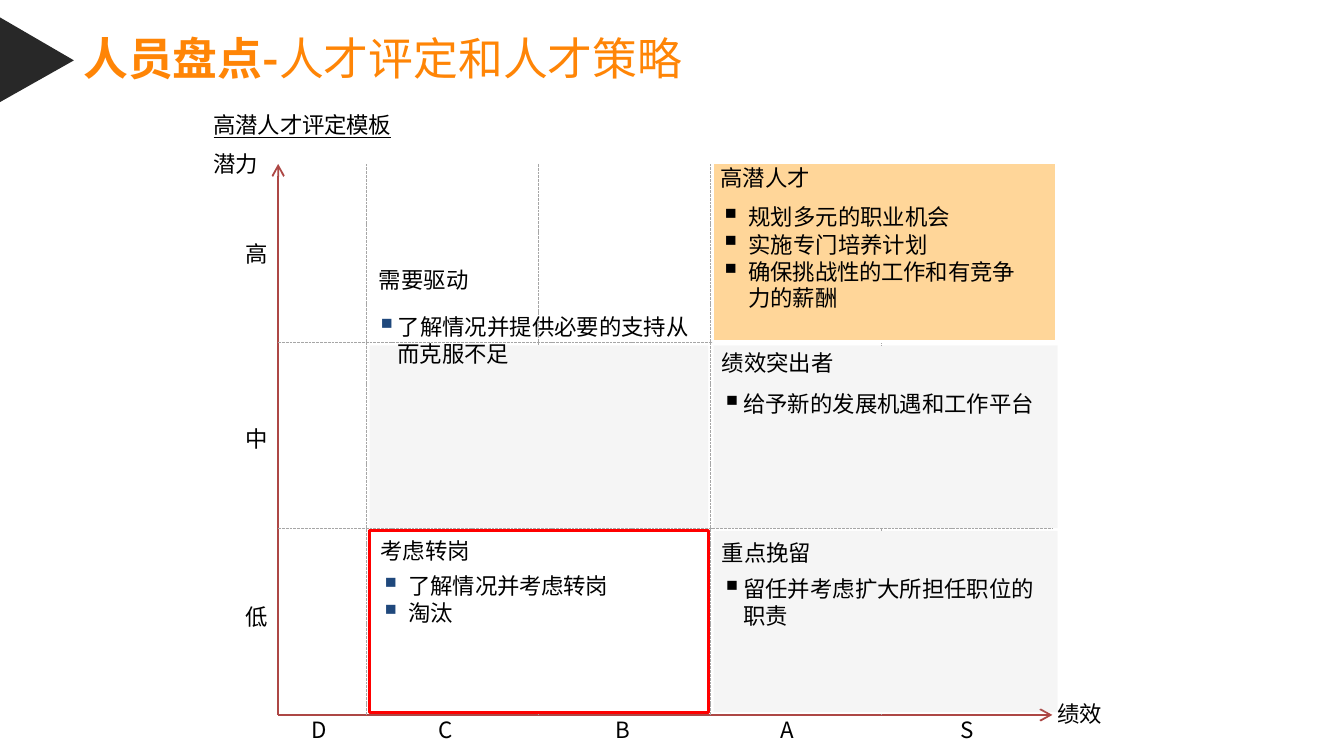
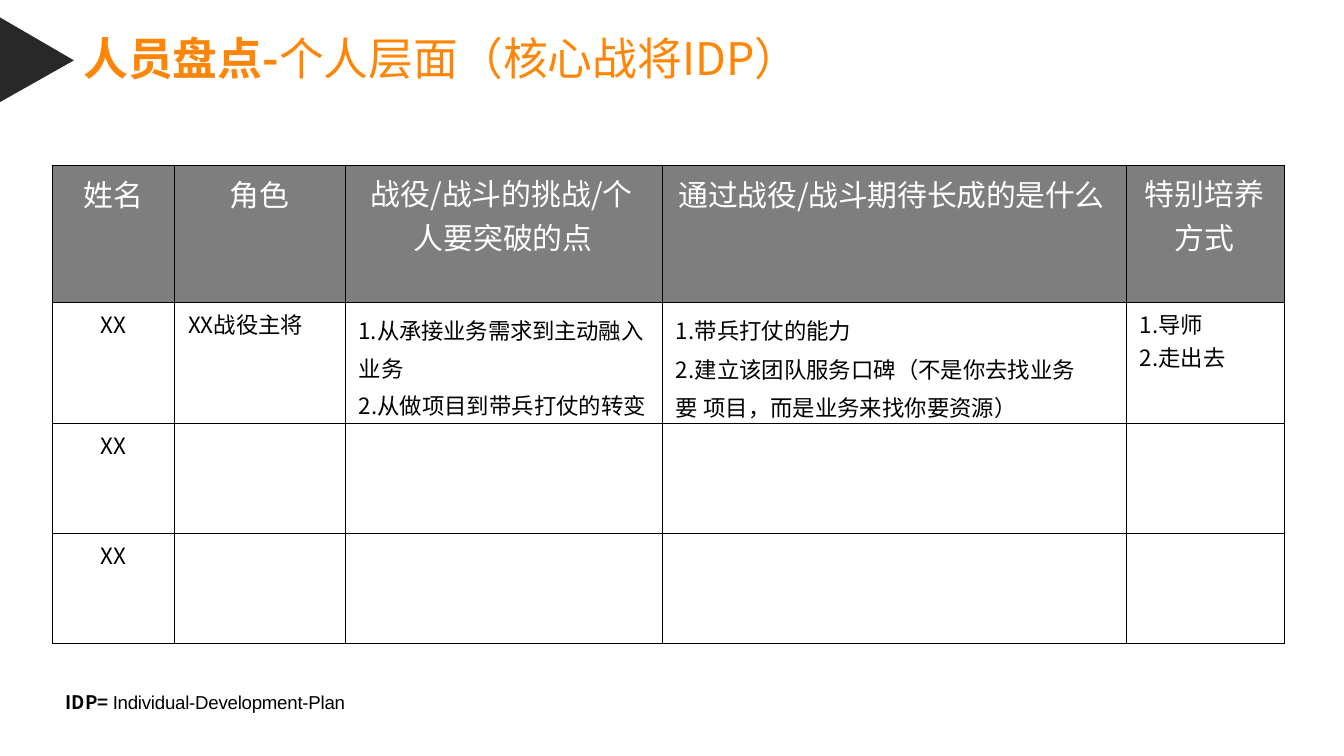
from lxml import etree
from pptx import Presentation
from pptx.dml.color import RGBColor
from pptx.enum.dml import MSO_LINE_DASH_STYLE as Dash
from pptx.enum.shapes import MSO_CONNECTOR as Connector, MSO_SHAPE as Shape
from pptx.enum.text import MSO_ANCHOR as Anchor, MSO_AUTO_SIZE as AutoSize, PP_ALIGN as Align
from pptx.oxml.ns import qn
from pptx.util import Inches, Pt

FONT = "Noto Sans CJK SC"
BLACK, WHITE, ORANGE, DARK = "000000", "FFFFFF", "FF8506", "282828"
AXIS, GRID, HEADER, BLUE = "AD4745", "A6A6A6", "7E7E7E", "1F487C"
BULLET = {"margin": 0.17, "indent": -0.16, "bullet": BLACK}
WIDE_BULLET = {"margin": 0.22, "indent": -0.21, "bullet": BLACK}


def rgb(value):
    return RGBColor.from_string(value)


def add_child(parent, tag, **attributes):
    child = etree.SubElement(parent, qn(tag))
    for name, value in attributes.items():
        child.set(name, str(value))
    return child


def write(paragraph, text, size=12, color=BLACK, bold=False, underline=False, font=FONT,
          align=Align.LEFT, margin=0.01, indent=0, right=0, before=0, line=None,
          bullet=None, tracking=0):
    """Add one run and format its paragraph."""
    paragraph.alignment = align
    paragraph.space_before = Pt(before)
    if line:
        paragraph.line_spacing = line
    properties = paragraph._p.get_or_add_pPr()
    for name, length in (("marL", margin), ("marR", right), ("indent", indent)):
        properties.set(name, str(Inches(length)))
    if bullet:
        add_child(add_child(properties, "a:buClr"), "a:srgbClr", val=bullet)
        add_child(properties, "a:buSzPct", val=125000)
        add_child(properties, "a:buChar", char="▪")
    run = paragraph.add_run()
    run.text = text
    run.font.size = Pt(size)
    run.font.bold = bold
    run.font.underline = underline
    run.font.color.rgb = rgb(color)
    run.font.name = font
    run_properties = run._r.get_or_add_rPr()
    add_child(run_properties, "a:ea", typeface=font)
    if tracking:
        run_properties.set("spc", str(round(tracking * 100)))


def write_all(frame, entries, **defaults):
    """Write each (text, format) entry as a paragraph."""
    for index, (text, style) in enumerate(entries):
        paragraph = frame.add_paragraph() if index else frame.paragraphs[0]
        write(paragraph, text, **{**defaults, **style})


class Deck:
    def __init__(self):
        self.presentation = Presentation()
        self.presentation.slide_width = Inches(10)
        self.presentation.slide_height = Inches(10) * 9 // 16
        self.slide = None

    def add_slide(self, topic, subtitle, title_width):
        self.slide = self.presentation.slides.add_slide(self.presentation.slide_layouts[5])
        title = self.slide.shapes.title
        title.left, title.top = Inches(0.61), Inches(0.23)
        title.width, title.height = Inches(title_width), Inches(0.42)
        self.prepare(title.text_frame)
        paragraph = title.text_frame.paragraphs[0]
        write(paragraph, topic, size=24, color=ORANGE, bold=True)
        write(paragraph, subtitle, size=24, color=ORANGE)
        self.marker()

    def prepare(self, frame):
        frame.margin_left = frame.margin_top = frame.margin_right = frame.margin_bottom = 0
        frame.word_wrap = True
        frame.vertical_anchor = Anchor.TOP
        frame.auto_size = AutoSize.SHAPE_TO_FIT_TEXT

    def marker(self):
        builder = self.slide.shapes.build_freeform(0, Inches(0.13))
        builder.add_line_segments([(0, Inches(0.76)), (Inches(0.55), Inches(0.45))])
        shape = builder.convert_to_shape()
        shape.shadow.inherit = False
        shape.fill.solid()
        shape.fill.fore_color.rgb = rgb(DARK)
        shape.line.fill.background()

    def text(self, left, top, width, height, *entries):
        box = self.slide.shapes.add_textbox(Inches(left), Inches(top), Inches(width), Inches(height))
        self.prepare(box.text_frame)
        write_all(box.text_frame, entries)
        return box.text_frame

    def line(self, x1, y1, x2, y2, color=GRID, width=0.5, arrow=False):
        connector = self.slide.shapes.add_connector(
            Connector.STRAIGHT, Inches(x1), Inches(y1), Inches(x2), Inches(y2))
        connector.line.color.rgb = rgb(color)
        connector.line.width = Pt(width)
        if arrow:
            add_child(connector.line._get_or_add_ln(), "a:tailEnd", type="arrow", w="med", len="med")
        else:
            connector.line.dash_style = Dash.SQUARE_DOT
        add_child(connector._element.spPr, "a:effectLst")

    def panel(self, left, top, width, height, fill, opacity, outline=None):
        shape = self.slide.shapes.add_shape(
            Shape.RECTANGLE, Inches(left), Inches(top), Inches(width), Inches(height))
        shape.shadow.inherit = False
        shape.fill.solid()
        shape.fill.fore_color.rgb = rgb(fill)
        color = shape._element.spPr.find(qn("a:solidFill"))[0]
        add_child(color, "a:alpha", val=opacity * 1000)
        if outline:
            shape.line.color.rgb = rgb(outline)
            shape.line.width = Pt(1.5)
        else:
            shape.line.fill.background()

    def table(self, left, top, columns, rows, contents):
        table = self.slide.shapes.add_table(
            len(rows), len(columns), Inches(left), Inches(top),
            Inches(sum(columns)), Inches(sum(rows))).table
        table.first_row = table.horz_banding = False
        for column, width in zip(table.columns, columns):
            column.width = Inches(width)
        for row_index, height in enumerate(rows):
            table.rows[row_index].height = Inches(height)
            for column_index in range(len(columns)):
                self.cell(table.cell(row_index, column_index),
                          contents.get((row_index, column_index)), row_index == 0)

    def cell(self, cell, content, is_header):
        properties = cell._tc.get_or_add_tcPr()
        for side in ("a:lnL", "a:lnR", "a:lnT", "a:lnB"):
            border = add_child(properties, side, w=Pt(0.75))
            add_child(add_child(border, "a:solidFill"), "a:srgbClr", val=BLACK)
        if is_header:
            cell.fill.solid()
            cell.fill.fore_color.rgb = rgb(HEADER)
        else:
            cell.fill.background()
        if content:
            top_margin, entries = content
            cell.margin_left = cell.margin_right = cell.margin_bottom = 0
            cell.margin_top = Inches(top_margin)
            style = {"size": 16, "color": WHITE} if is_header else {"margin": 0.1}
            write_all(cell.text_frame, entries, **style)


def build_talent_matrix(deck):
    deck.add_slide("人员盘点-", "人才评定和人才策略", 4.51)

    # Axes and their labels
    origin_x, origin_y, axis_top, axis_right = 2.07, 5.32, 1.22, 7.83
    deck.line(origin_x, origin_y, origin_x, axis_top, AXIS, 1, arrow=True)
    deck.line(origin_x, origin_y, axis_right, origin_y, AXIS, 1, arrow=True)
    deck.text(1.58, 1.12, 0.36, 0.22, ("潜力", {}))
    deck.text(7.86, 5.21, 0.36, 0.22, ("绩效", {}))
    for level, top in (("高", 1.79), ("中", 3.16), ("低", 4.49)):
        deck.text(1.82, top, 0.2, 0.22, (level, {}))
    for grade, left in (("D", 2.31), ("C", 3.25), ("B", 4.57), ("A", 5.8), ("S", 7.14)):
        deck.text(left, 5.33, 0.16, 0.22, (grade, {}))

    # Dashed grid, broken where panels cover it
    for y in (2.55, 3.93):
        deck.line(origin_x, y, axis_right, y)
    for x in (2.73, 5.29):
        deck.line(x, origin_y, x, axis_top)
    for x, first_top in ((4.01, axis_top), (6.56, 2.54)):
        for top, bottom in ((first_top, 2.57), (3.93, 3.95), (5.31, origin_y)):
            deck.line(x, top, x, bottom)

    # Panels
    deck.panel(5.3, 1.21, 2.56, 1.33, "FF9900", 40, WHITE)
    deck.panel(5.31, 2.57, 2.56, 1.36, GRID, 10)
    deck.panel(5.31, 3.95, 2.56, 1.35, GRID, 10)
    deck.panel(2.75, 3.95, 2.52, 1.35, WHITE, 40, "FF0000")
    deck.panel(2.75, 2.57, 2.52, 1.36, GRID, 10)

    # Strategies
    deck.text(5.35, 1.22, 2.24, 1.12,
              ("高潜人才", {}),
              ("规划多元的职业机会", {**WIDE_BULLET, "before": 6.8}),
              ("实施专门培养计划", {**WIDE_BULLET, "before": 0.1}),
              ("确保挑战性的工作和有竞争 力的薪酬",
               {**WIDE_BULLET, "before": 0.9, "line": Pt(14), "tracking": -0.1}))
    deck.text(5.36, 2.6, 2.35, 0.53,
              ("绩效突出者", {}),
              ("给予新的发展机遇和工作平台", {**BULLET, "before": 7.4}))
    deck.text(5.36, 4.01, 2.35, 0.7,
              ("重点挽留", {}),
              ("留任并考虑扩大所担任职位的", {**BULLET, "before": 5}),
              ("职责", {"margin": 0.17, "before": 0.1}))
    blue_bullet = {**WIDE_BULLET, "bullet": BLUE}
    deck.text(2.82, 4, 1.74, 0.68,
              ("考虑转岗", {}),
              ("了解情况并考虑转岗", {**blue_bullet, "before": 4.1, "tracking": -0.1}),
              ("淘汰", {**blue_bullet, "before": 0.1}))
    deck.text(2.81, 1.98, 0.69, 0.22, ("需要驱动", {}))
    deck.text(2.79, 2.33, 2.35, 0.23, ("了解情况并提供必要的支持从", {**BULLET, "bullet": BLUE}))
    deck.text(2.95, 2.53, 0.86, 0.22, ("而克服不足", {"tracking": -0.1}))
    deck.text(1.58, 0.83, 6.7, 0.2, ("高潜人才评定模板", {"underline": True, "tracking": -0.1}))


def build_development_plan(deck):
    deck.add_slide("人员盘点-", "个人层面（核心战将IDP）", 5.4)

    # Plan table: (row, column) -> top margin and paragraphs
    centered = {"align": Align.CENTER, "margin": 0, "before": 3}
    contents = {
        (0, 0): (0.05, [("姓名", {**centered, "before": 3.4})]),
        (0, 1): (0.05, [("角色", {"margin": 0.41, "before": 3.4})]),
        (0, 2): (0.04, [("战役/战斗的挑战/个 人要突破的点",
                         {"margin": 0.51, "indent": -0.32, "right": 0.15,
                          "before": 3, "line": 1.02})]),
        (0, 3): (0.05, [("通过战役/战斗期待长成的是什么",
                         {"margin": 0.12, "before": 3.4, "tracking": -0.1})]),
        (0, 4): (0.04, [("特别培养 方式",
                         {"margin": 0.36, "indent": -0.22, "before": 3, "line": 1.02})]),
        (1, 1): (0.04, [("XX战役主将", {"before": 2.9})]),
        (1, 2): (0.08, [("1.从承接业务需求到主动融入", {"before": 5.9, "tracking": -0.1}),
                        ("业务", {"before": 3.1}),
                        ("2.从做项目到带兵打仗的转变", {"before": 2.6})]),
        (1, 3): (0.08, [("1.带兵打仗的能力", {"before": 5.9}),
                        ("2.建立该团队服务口碑（不是你去找业务要 项目，而是业务来找你要资源）",
                         {"right": 0.25, "before": 0.5, "line": 1.18})]),
        (1, 4): (0.04, [("1.导师", {"before": 2.9}), ("2.走出去", {"before": 0.1})]),
    }
    for row in (1, 2, 3):
        contents[row, 0] = (0.04, [("XX", {**centered, "tracking": -0.2})])
    deck.table(0.39, 1.23, [0.91, 1.27, 2.36, 3.45, 1.18], [1.02, 0.9, 0.82, 0.82], contents)

    # Abbreviation
    frame = deck.text(0.48, 5.14, 2.16, 0.19, ("IDP= ", {"size": 10, "bold": True}))
    write(frame.paragraphs[0], "Individual-Development-Plan", size=10, font="Arial", tracking=-0.1)


def main():
    deck = Deck()
    build_talent_matrix(deck)
    build_development_plan(deck)
    deck.presentation.save("out.pptx")


if __name__ == "__main__":
    main()
